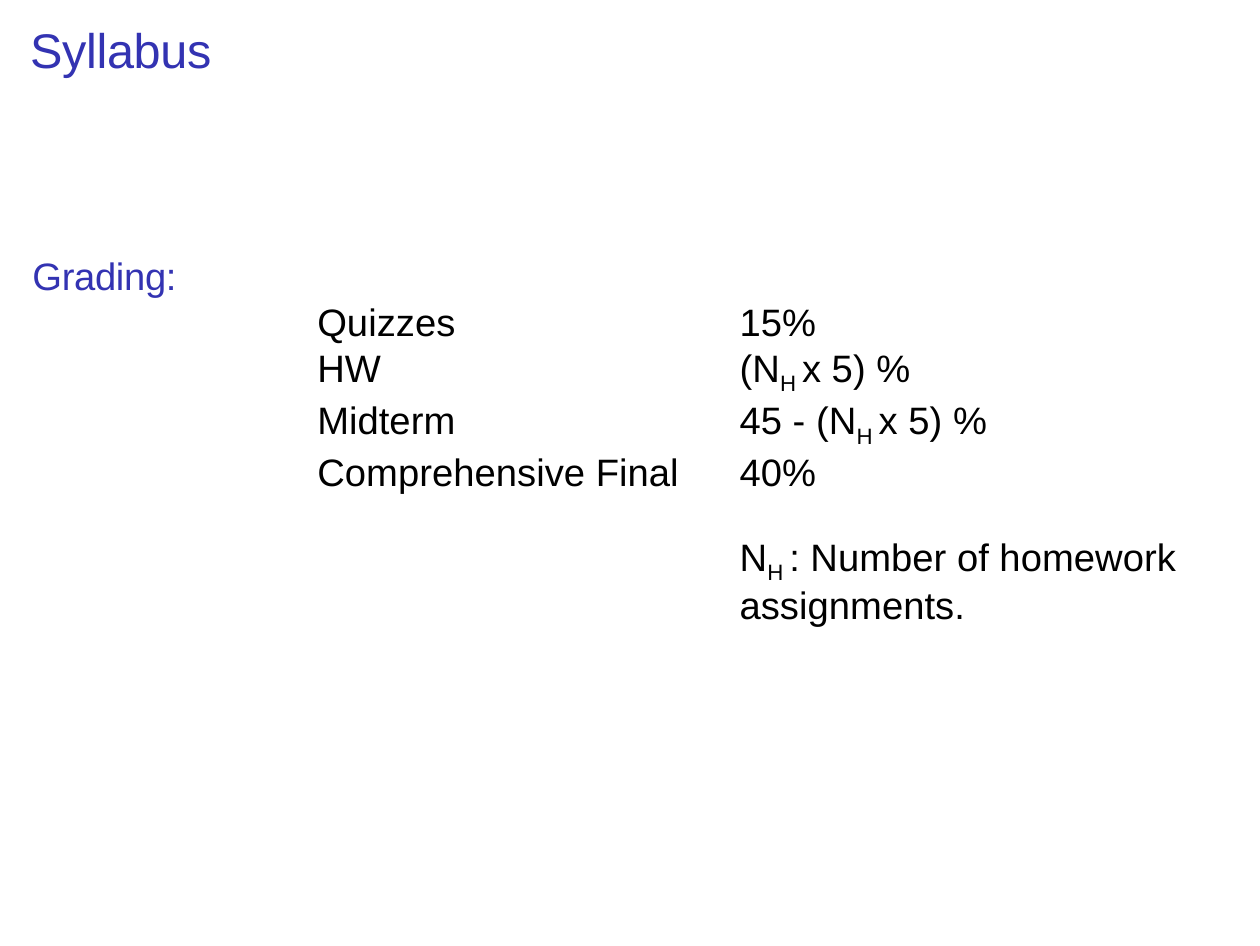
from pptx import Presentation
from pptx.dml.color import RGBColor
from pptx.oxml import parse_xml
from pptx.oxml.ns import nsdecls
from pptx.util import Inches, Pt

BLUE = RGBColor(0x33, 0x33, 0xB2)
BLACK = RGBColor(0, 0, 0)
WHITE = RGBColor(0xFF, 0xFF, 0xFF)
FONT = "Arial"
BODY = 11
COLS = (1.14, 1.69, 2)
SUB = "H "  # run set as a subscript

# Each cell is a list of paragraphs, each paragraph a list of runs
ROWS = [
    [[], [], []],
    [[["Grading:"]], [], []],
    [[], [["Quizzes"]], [["15%"]]],
    [[], [["HW"]], [["(N", SUB, "x 5) %"]]],
    [[], [["Midterm"]], [["45 - (N", SUB, "x 5) %"]]],
    [[], [["Comprehensive Final"]],
     [["40%"], ["N", SUB, ": Number of homework assignments."]]],
]


def add_run(para, words, size, color):
    run = para.add_run()
    run.text = words
    font = run.font
    font.name, font.size = FONT, Pt(size)
    font.color.rgb = color
    props = font._element
    if color == BLUE:
        props.set("spc", "-10")
    if words == SUB:
        props.set("baseline", "-25000")


def add_title(slide, left, top, width, height):
    box = slide.shapes.add_textbox(left, top, width, height)
    frame = box.text_frame
    frame.word_wrap = True
    frame.margin_left = Inches(0.02)
    frame.margin_top = Inches(0.01)
    frame.margin_right = frame.margin_bottom = 0
    add_run(frame.paragraphs[0], "Syllabus", 14, BLUE)


def style_cell(cell):
    cell.margin_left = cell.margin_right = Inches(0.03)
    cell.margin_top = cell.margin_bottom = 0
    cell.fill.solid()
    cell.fill.fore_color.rgb = WHITE
    # White borders go ahead of the fill
    props = cell._tc.get_or_add_tcPr()
    for spot, side in enumerate("LRTB"):
        props.insert(spot, parse_xml(
            f'<a:ln{side} {nsdecls("a")} w="12700"><a:solidFill>'
            f'<a:srgbClr val="{WHITE}"/></a:solidFill></a:ln{side}>'))


def fill_cell(cell, paras, color):
    frame = cell.text_frame
    for i, runs in enumerate(paras):
        para = frame.add_paragraph() if i else frame.paragraphs[0]
        if i:
            para.space_before = Pt(12)
        for words in runs:
            add_run(para, words, BODY, color)
    if not paras:
        # Body size keeps an empty cell from stretching its row
        frame.paragraphs[0]._p.append(parse_xml(
            f'<a:endParaRPr {nsdecls("a")} sz="{BODY * 100}"/>'))


def add_grades(slide, left, top, width, height):
    shape = slide.shapes.add_table(
        len(ROWS), len(COLS), left, top, width, height)
    table = shape.table
    table.first_row = table.horz_banding = False
    for col, size in zip(table.columns, COLS):
        col.width = Inches(size)
    for r, row in enumerate(ROWS):
        for c, paras in enumerate(row):
            cell = table.cell(r, c)
            style_cell(cell)
            fill_cell(cell, paras, BLACK if c else BLUE)
    table.cell(0, 1).merge(table.cell(0, 2))


def main():
    deck = Presentation()
    # The page measures 363 by 272.5 points
    deck.slide_width, deck.slide_height = Pt(363), Pt(272.5)
    slide = deck.slides.add_slide(deck.slide_layouts[6])
    add_title(slide, Inches(0.1), Inches(0.07), Inches(3.68), Inches(0.25))
    add_grades(slide, Inches(0.1), Inches(0.84), Inches(4.83), Inches(1.1))
    deck.save("out.pptx")


if __name__ == "__main__":
    main()
